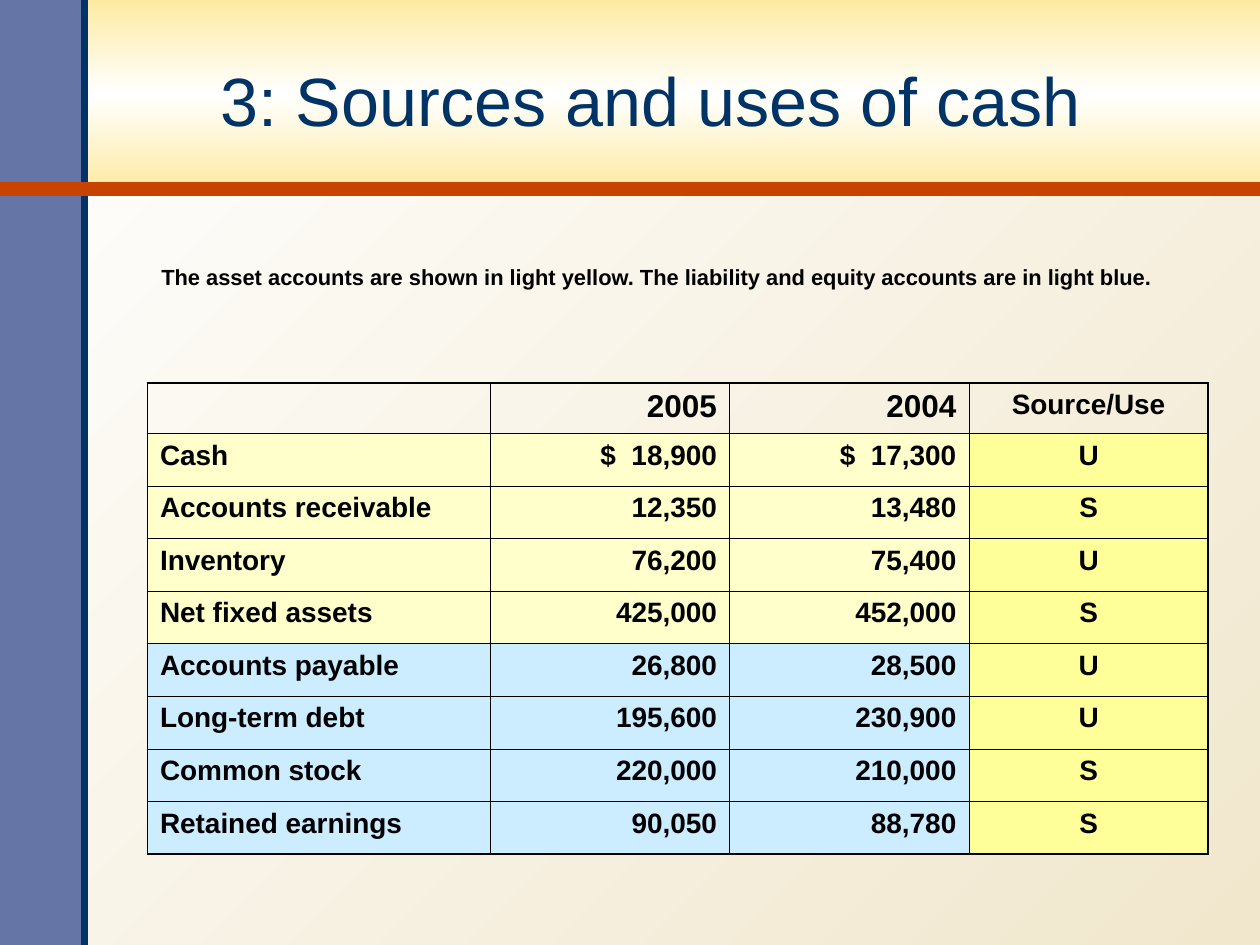
import pptx
import pptx.dml.color
import pptx.enum.shapes
import pptx.enum.text
import pptx.oxml
import pptx.oxml.ns
import pptx.util
from pptx.util import Inches

COLORS = {
    "navy": "003366", "slate": "6475A6", "rust": "C84300", "black": "000000",
    "gold": "FDEBA1", "white": "FFFFFF", "sand": "F1E7CD",
    "asset": "FFFFCC", "claim": "CCECFF", "mark": "FFFF99",
}
FONT = "Arial"
THIN, THICK = 0.45, 1.08
ALIGN = pptx.enum.text.PP_ALIGN

HEAD = ("", "2005", "2004", "Source/Use")
ASSETS = (
    ("Cash", "$  18,900", "$  17,300", "U"),
    ("Accounts receivable", "12,350", "13,480", "S"),
    ("Inventory", "76,200", "75,400", "U"),
    ("Net fixed assets", "425,000", "452,000", "S"),
)
CLAIMS = (
    ("Accounts payable", "26,800", "28,500", "U"),
    ("Long-term debt", "195,600", "230,900", "U"),
    ("Common stock", "220,000", "210,000", "S"),
    ("Retained earnings", "90,050", "88,780", "S"),
)


def color(name):
    return pptx.dml.color.RGBColor.from_string(COLORS[name])


def blend(fill, owner, names, angle):
    """Give a fill a gradient of evenly spaced colours."""
    fill.gradient()
    fill.gradient_angle = angle
    stops = next(owner.iter(pptx.oxml.ns.qn("a:gsLst")))
    for stop in list(stops):
        stops.remove(stop)
    for i, name in enumerate(names):
        place = 100000 * i // (len(names) - 1)
        stops.append(pptx.oxml.parse_xml(
            f'<a:gs {pptx.oxml.ns.nsdecls("a")} pos="{place}">'
            f'<a:srgbClr val="{COLORS[name]}"/></a:gs>'))


def block(slide, left, top, width, height):
    shape = slide.shapes.add_shape(
        pptx.enum.shapes.MSO_SHAPE.RECTANGLE, left, top, width, height)
    shape.shadow.inherit = False
    shape.line.fill.background()
    return shape


def rule(slide, start, end, name, weight):
    line = slide.shapes.add_connector(
        pptx.enum.shapes.MSO_CONNECTOR.STRAIGHT, *start, *end)
    line.line.color.rgb = color(name)
    line.line.width = pptx.util.Pt(weight)
    pptx.oxml.ns.qn("a:effectLst")
    line._element.spPr.append(pptx.oxml.parse_xml(
        f'<a:effectLst {pptx.oxml.ns.nsdecls("a")}/>'))


def style(para, text, size, align, name="black", bold=True):
    para.text = text
    para.alignment = align
    font = para.font
    font.name, font.size, font.bold = FONT, pptx.util.Pt(size), bold
    font.color.rgb = color(name)


def add_frame(slide, width, height):
    """Draw the background, top banner, side strip and their rules."""
    blend(slide.background.fill, slide._element, ("white", "sand"), 315)
    side, base = Inches(0.67), Inches(1.5)
    banner = block(slide, 0, 0, width, base)
    blend(banner.fill, banner._element, ("gold", "white", "gold"), 270)
    strip = block(slide, 0, 0, side, height)
    strip.fill.solid()
    strip.fill.fore_color.rgb = color("slate")
    rule(slide, (side, height), (side, 0), "navy", 4)
    rule(slide, (0, base), (width, base), "rust", 8)


def add_title(slide, left, top, width, height):
    frame = slide.shapes.add_textbox(left, top, width, height).text_frame
    frame.word_wrap = True
    frame.margin_top = Inches(0.13)
    frame.vertical_anchor = pptx.enum.text.MSO_ANCHOR.MIDDLE
    style(frame.paragraphs[0], "3: Sources and uses of cash", 39,
          ALIGN.CENTER, "navy", False)


def add_note(slide, left, top, width, height):
    frame = slide.shapes.add_textbox(left, top, width, height).text_frame
    frame.word_wrap = True
    frame.margin_left, frame.margin_top = Inches(0.36), Inches(0.5)
    para = frame.paragraphs[0]
    para.line_spacing = 0.6
    style(para, "The asset accounts are shown in light yellow. "
          "The liability and equity accounts are in light blue.",
          12.5, ALIGN.LEFT)


def edge(cell, sides):
    """Draw cell borders; sides maps L, R, T and B to widths in points."""
    props = cell._tc.get_or_add_tcPr()
    for side, weight in sides.items():
        props.append(pptx.oxml.parse_xml(
            f'<a:ln{side} {pptx.oxml.ns.nsdecls("a")} '
            f'w="{pptx.util.Pt(weight)}"><a:solidFill>'
            f'<a:srgbClr val="{COLORS["black"]}"/></a:solidFill></a:ln{side}>'))


def add_accounts(slide, left, top, width, height):
    rows = (HEAD,) + ASSETS + CLAIMS
    last, end = len(rows) - 1, len(HEAD) - 1
    table = slide.shapes.add_table(
        len(rows), len(HEAD), left, top, width, height).table
    table.first_row = table.horz_banding = False
    first = Inches(2.72)
    for c, column in enumerate(table.columns):
        column.width = (width - first) // end if c else first
    top_row = Inches(0.4)
    for r, row in enumerate(table.rows):
        row.height = (height - top_row) // last if r else top_row
    aligns = (ALIGN.LEFT, ALIGN.RIGHT, ALIGN.RIGHT, ALIGN.CENTER)
    for r, row in enumerate(rows):
        tint = "asset" if r <= len(ASSETS) else "claim"
        for c, text in enumerate(row):
            cell = table.cell(r, c)
            edge(cell, {"L": THIN if c else THICK,
                        "R": THICK if c == end else THIN,
                        "T": THIN if r else THICK,
                        "B": THICK if r == last else THIN})
            if r:
                cell.fill.solid()
                cell.fill.fore_color.rgb = color("mark" if c == end else tint)
            else:
                cell.fill.background()
            size = 18 if r == 0 and c < end else 16
            style(cell.text_frame.paragraphs[0], text, size, aligns[c])


def main():
    deck = pptx.Presentation()
    deck.slide_width, deck.slide_height = Inches(10), Inches(7.5)
    slide = deck.slides.add_slide(deck.slide_layouts[6])
    add_frame(slide, deck.slide_width, deck.slide_height)
    add_title(slide, Inches(0.58), Inches(0.08), Inches(9.17), Inches(1.33))
    add_note(slide, Inches(0.92), Inches(1.67), Inches(8.58), Inches(1.17))
    add_accounts(slide, Inches(1.17), Inches(3.04), Inches(8.42), Inches(3.74))
    deck.save("out.pptx")


if __name__ == "__main__":
    main()
